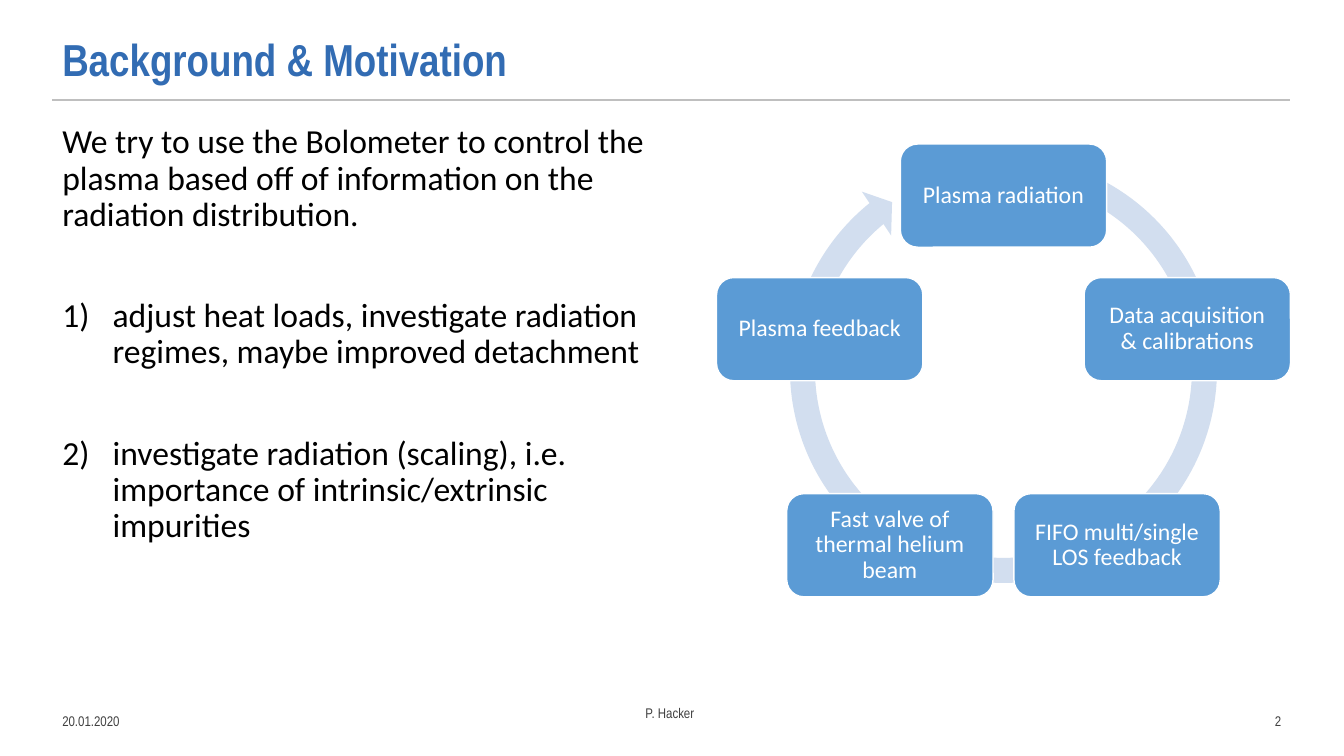
import math

import lxml.etree
import pptx
import pptx.dml.color
import pptx.enum.shapes
import pptx.enum.text
import pptx.oxml.ns
import pptx.util

Cm = pptx.util.Cm
Pt = pptx.util.Pt
ALIGN = pptx.enum.text.PP_ALIGN
ANCHOR = pptx.enum.text.MSO_ANCHOR
SHAPE = pptx.enum.shapes.MSO_SHAPE

MARGIN = 1.32
CONTENT_WIDTH = 31.2
RING_X, RING_Y, RING_RADIUS = 25.29, 9.8, 4.87
STEP_WIDTH, STEP_HEIGHT = 5.2, 2.6
ARROW_SIZE, ARROW_TOP = 11.46, 3.58
ARROW_ADJUSTMENTS = (0.055, 3.307, 138.495, 173.414, 0.058)
STEPS = (
    "Plasma radiation",
    "Data acquisition & calibrations",
    "FIFO multi/single LOS feedback",
    "Fast valve of thermal helium beam",
    "Plasma feedback",
)
INTRODUCTION = (
    "We try to use the Bolometer to control the plasma based off of "
    "information on the radiation distribution."
)
GOALS = (
    "adjust heat loads, investigate radiation regimes, maybe improved detachment",
    "investigate radiation (scaling), i.e. importance of intrinsic/extrinsic impurities",
)


def color(hex_code):
    """Return the colour for a hex string."""
    return pptx.dml.color.RGBColor.from_string(hex_code)


def write(paragraph, text, size=24, font="Calibri", ink="000000", bold=False,
          align=ALIGN.LEFT, line_spacing=0.9, space_before=0):
    """Fill a paragraph with formatted text."""
    paragraph.alignment = align
    paragraph.line_spacing = line_spacing
    paragraph.space_before = Pt(space_before)
    run = paragraph.add_run()
    run.text = text
    run.font.size = Pt(size)
    run.font.name = font
    run.font.bold = bold
    run.font.color.rgb = color(ink)


def number(paragraph):
    """Give a paragraph a hanging automatic number."""
    properties = paragraph._p.get_or_add_pPr()
    properties.set("marL", str(Cm(1.27)))
    properties.set("indent", str(Cm(-1.27)))
    lxml.etree.SubElement(
        properties, pptx.oxml.ns.qn("a:buAutoNum"), type="arabicParenR")


def add_text_frame(slide, left, top, width, height, anchor=ANCHOR.TOP):
    """Add a wrapping text box and return its frame."""
    frame = slide.shapes.add_textbox(
        Cm(left), Cm(top), Cm(width), Cm(height)).text_frame
    frame.word_wrap = True
    frame.vertical_anchor = anchor
    return frame


def add_heading(slide, text):
    """Add the slide title and the rule below it."""
    heading = add_text_frame(slide, MARGIN, 0.53, 26.4, 1.78, ANCHOR.BOTTOM)
    write(heading.paragraphs[0], text, size=32, font="Arial Narrow",
          ink="326CB3", bold=True)
    rule = slide.shapes.add_connector(
        pptx.enum.shapes.MSO_CONNECTOR.STRAIGHT,
        Cm(MARGIN), Cm(2.52), Cm(MARGIN + CONTENT_WIDTH), Cm(2.52))
    rule.line.color.rgb = color("BFBFBF")
    rule.line.width = Pt(1)
    lxml.etree.SubElement(
        rule._element.spPr, pptx.oxml.ns.qn("a:effectLst"))


def add_footer(slide, text, left, top, width, align):
    """Add one footer entry."""
    footer = add_text_frame(slide, left, top, width, 1.02, ANCHOR.MIDDLE)
    write(footer.paragraphs[0], text, size=10, font="Arial Narrow",
          ink="404040", align=align, line_spacing=1)


def add_motivation(slide):
    """Add the introduction and the numbered goals."""
    motivation = add_text_frame(slide, MARGIN, 3.02, 15.85, 14.2)
    write(motivation.paragraphs[0], INTRODUCTION)
    for goal in GOALS:
        paragraph = motivation.add_paragraph()
        write(paragraph, goal, space_before=46.5)
        number(paragraph)


def add_filled_shape(slide, kind, left, top, width, height, fill):
    """Add a plain filled preset shape without an outline."""
    shape = slide.shapes.add_shape(
        kind, Cm(left), Cm(top), Cm(width), Cm(height))
    shape.shadow.inherit = False
    shape.fill.solid()
    shape.fill.fore_color.rgb = color(fill)
    shape.line.fill.background()
    return shape


def add_step(slide, text, center_x, center_y):
    """Add one box of the feedback cycle around its centre."""
    step = add_filled_shape(
        slide, SHAPE.ROUNDED_RECTANGLE, center_x - STEP_WIDTH / 2,
        center_y - STEP_HEIGHT / 2, STEP_WIDTH, STEP_HEIGHT, "5B9BD5")
    step.line.color.rgb = color("FFFFFF")
    step.line.width = Pt(1)
    frame = step.text_frame
    frame.word_wrap = True
    frame.vertical_anchor = ANCHOR.MIDDLE
    frame.margin_left = frame.margin_right = Cm(0.3)
    frame.margin_top = frame.margin_bottom = Cm(0.3)
    write(frame.paragraphs[0], text, size=17, ink="FFFFFF", align=ALIGN.CENTER)


def add_cycle(slide):
    """Add the circular arrow with the steps evenly spaced on it."""
    arrow = add_filled_shape(
        slide, SHAPE.CIRCULAR_ARROW, RING_X - ARROW_SIZE / 2, ARROW_TOP,
        ARROW_SIZE, ARROW_SIZE, "D2DEEF")
    for index, value in enumerate(ARROW_ADJUSTMENTS):
        arrow.adjustments[index] = value
    for index, text in enumerate(STEPS):
        angle = math.tau * index / len(STEPS)
        add_step(slide, text, RING_X + RING_RADIUS * math.sin(angle),
                 RING_Y - RING_RADIUS * math.cos(angle))


def main():
    """Build the slide and save it."""
    deck = pptx.Presentation()
    deck.slide_width, deck.slide_height = Cm(33.87), Cm(19.05)
    slide = deck.slides.add_slide(deck.slide_layouts[6])
    add_heading(slide, "Background & Motivation")
    add_footer(slide, "20.01.2020", MARGIN, 17.65, 3.1, ALIGN.LEFT)
    add_footer(slide, "P. Hacker", 4.98, 17.45, 23.8, ALIGN.CENTER)
    add_footer(slide, "2", 29.54, 17.65, 3, ALIGN.RIGHT)
    add_motivation(slide)
    add_cycle(slide)
    deck.save("out.pptx")


if __name__ == "__main__":
    main()
